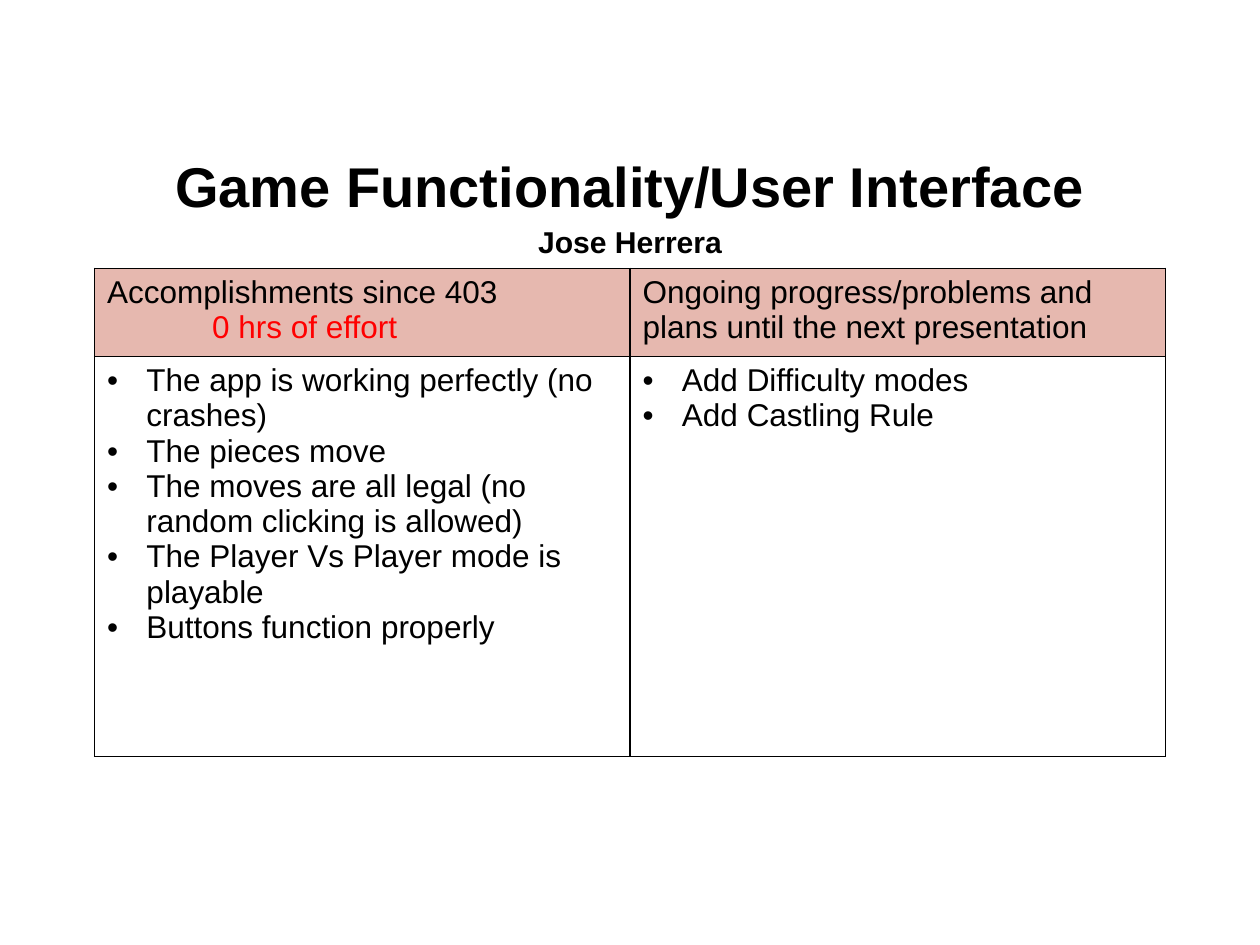
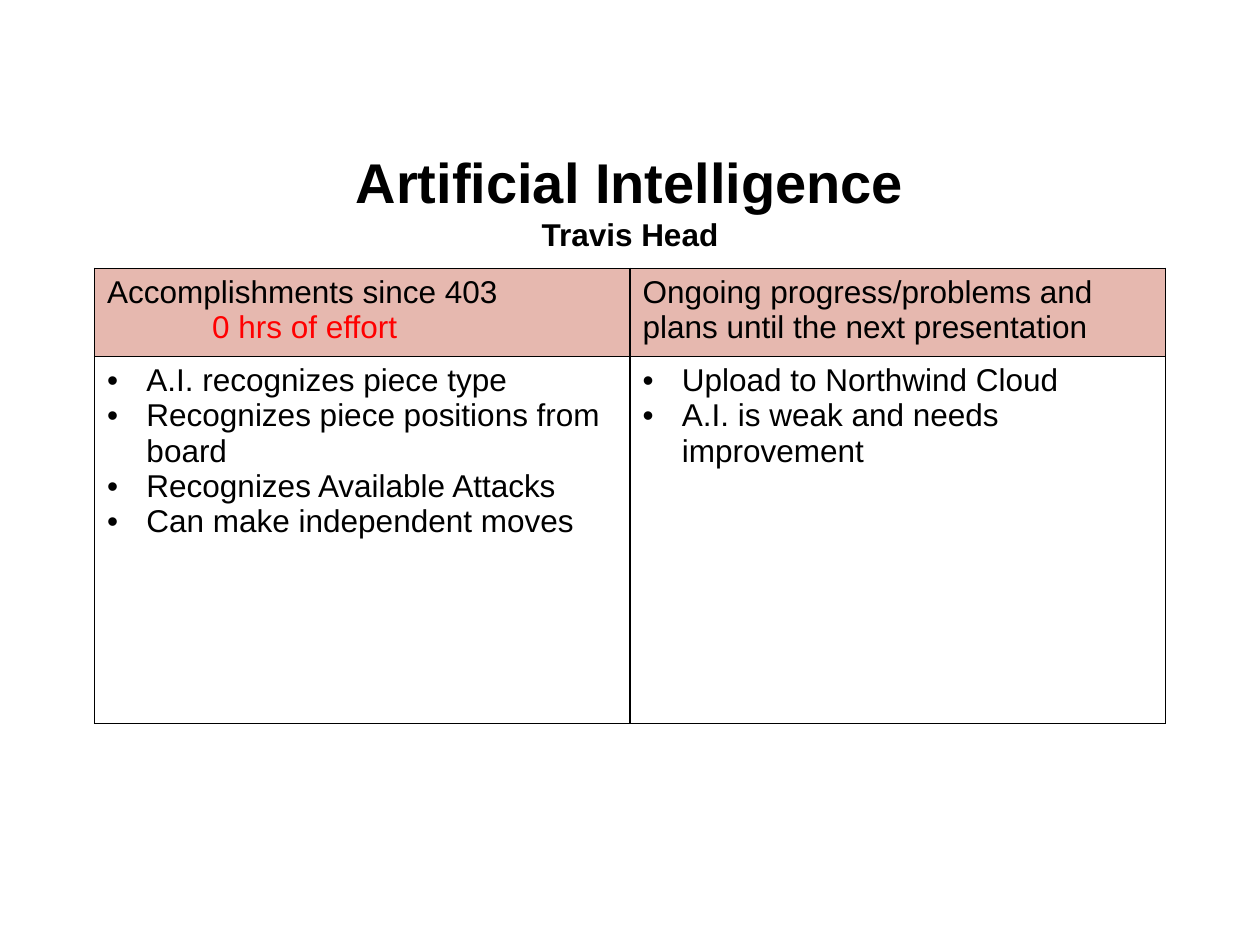
from lxml.etree import SubElement
from pptx import Presentation
from pptx.dml.color import RGBColor
from pptx.enum.text import MSO_ANCHOR, PP_ALIGN
from pptx.oxml.ns import qn
from pptx.util import Pt

COLORS = {"text": "000000", "effort": "FF0000", "header": "E6B8AF", "border": "000000"}
FONT = "Arial"
BODY_SIZE = 18
TITLE_SIZE = 32
BULLET_INDENT = 22.5
EFFORT_INDENT = 60
HEADER_HEIGHT = 49
COLUMN_WIDTH = 306

HEADERS = [
    ["Accomplishments since 403", "0 hrs of effort"],
    ["Ongoing progress/problems and plans until the next presentation"],
]

REPORTS = [
    {
        "topic": "Game Functionality/User Interface",
        "presenter": "Jose Herrera",
        "presenter_size": 17.2,
        "line_spacing": 1.15,
        "body_height": 228.5,
        "columns": [
            [
                "The app is working perfectly (no crashes)",
                "The pieces move",
                "The moves are all legal (no random clicking is allowed)",
                "The Player Vs Player mode is playable",
                "Buttons function properly",
            ],
            ["Add Difficulty modes", "Add Castling Rule"],
        ],
    },
    {
        "topic": "Artificial Intelligence",
        "presenter": "Travis Head",
        "presenter_size": 18,
        "line_spacing": 1.0,
        "body_height": 209.5,
        "columns": [
            [
                "A.I. recognizes piece type",
                "Recognizes piece positions from board",
                "Recognizes Available Attacks",
                "Can make independent moves",
            ],
            ["Upload to Northwind Cloud", "A.I. is weak and needs improvement"],
        ],
    },
]


def style_font(paragraph, size, color="text", bold=False):
    font = paragraph.font
    font.name = FONT
    font.size = Pt(size)
    font.bold = bold
    font.color.rgb = RGBColor.from_string(COLORS[color])


def add_borders(cell):
    properties = cell._tc.get_or_add_tcPr()
    for side in ("lnL", "lnR", "lnT", "lnB"):
        line = SubElement(properties, qn(f"a:{side}"), w=str(Pt(1)))
        fill = SubElement(line, qn("a:solidFill"))
        SubElement(fill, qn("a:srgbClr"), val=COLORS["border"])


prs = Presentation()
prs.slide_width, prs.slide_height = Pt(720), Pt(540)

for report in REPORTS:
    slide = prs.slides.add_slide(prs.slide_layouts[6])

    # Topic and presenter
    heading = slide.shapes.add_textbox(Pt(36), Pt(82.8), Pt(648), Pt(63.4)).text_frame
    heading.word_wrap = True
    heading.vertical_anchor = MSO_ANCHOR.MIDDLE
    heading.text = f"{report['topic']}\n{report['presenter']}"
    for paragraph, size in zip(heading.paragraphs, (TITLE_SIZE, report["presenter_size"])):
        paragraph.alignment = PP_ALIGN.CENTER
        paragraph.line_spacing = report["line_spacing"]
        style_font(paragraph, size, bold=True)

    # Progress table
    progress = slide.shapes.add_table(
        2, 2, Pt(54), Pt(153.4), Pt(2 * COLUMN_WIDTH), Pt(HEADER_HEIGHT + report["body_height"])
    ).table
    progress.first_row = progress.horz_banding = False
    progress.rows[0].height = Pt(HEADER_HEIGHT)
    progress.rows[1].height = Pt(report["body_height"])

    for index, (header_lines, items) in enumerate(zip(HEADERS, report["columns"])):
        progress.columns[index].width = Pt(COLUMN_WIDTH)
        header, body = progress.cell(0, index), progress.cell(1, index)

        # Header cell, with the effort indented below the first line
        add_borders(header)
        header.fill.solid()
        header.fill.fore_color.rgb = RGBColor.from_string(COLORS["header"])
        header.text = "\n".join(header_lines)
        for line_number, paragraph in enumerate(header.text_frame.paragraphs):
            if line_number:
                paragraph._p.get_or_add_pPr().set("marL", str(Pt(EFFORT_INDENT)))
            style_font(paragraph, BODY_SIZE, "effort" if line_number else "text")

        # Bulleted body cell
        add_borders(body)
        body.fill.background()
        body.text = "\n".join(items)
        for paragraph in body.text_frame.paragraphs:
            properties = paragraph._p.get_or_add_pPr()
            properties.set("marL", str(Pt(BULLET_INDENT)))
            properties.set("indent", str(-Pt(BULLET_INDENT)))
            SubElement(properties, qn("a:buFont"), typeface=FONT)
            SubElement(properties, qn("a:buChar"), char="•")
            style_font(paragraph, BODY_SIZE)

prs.save("out.pptx")
